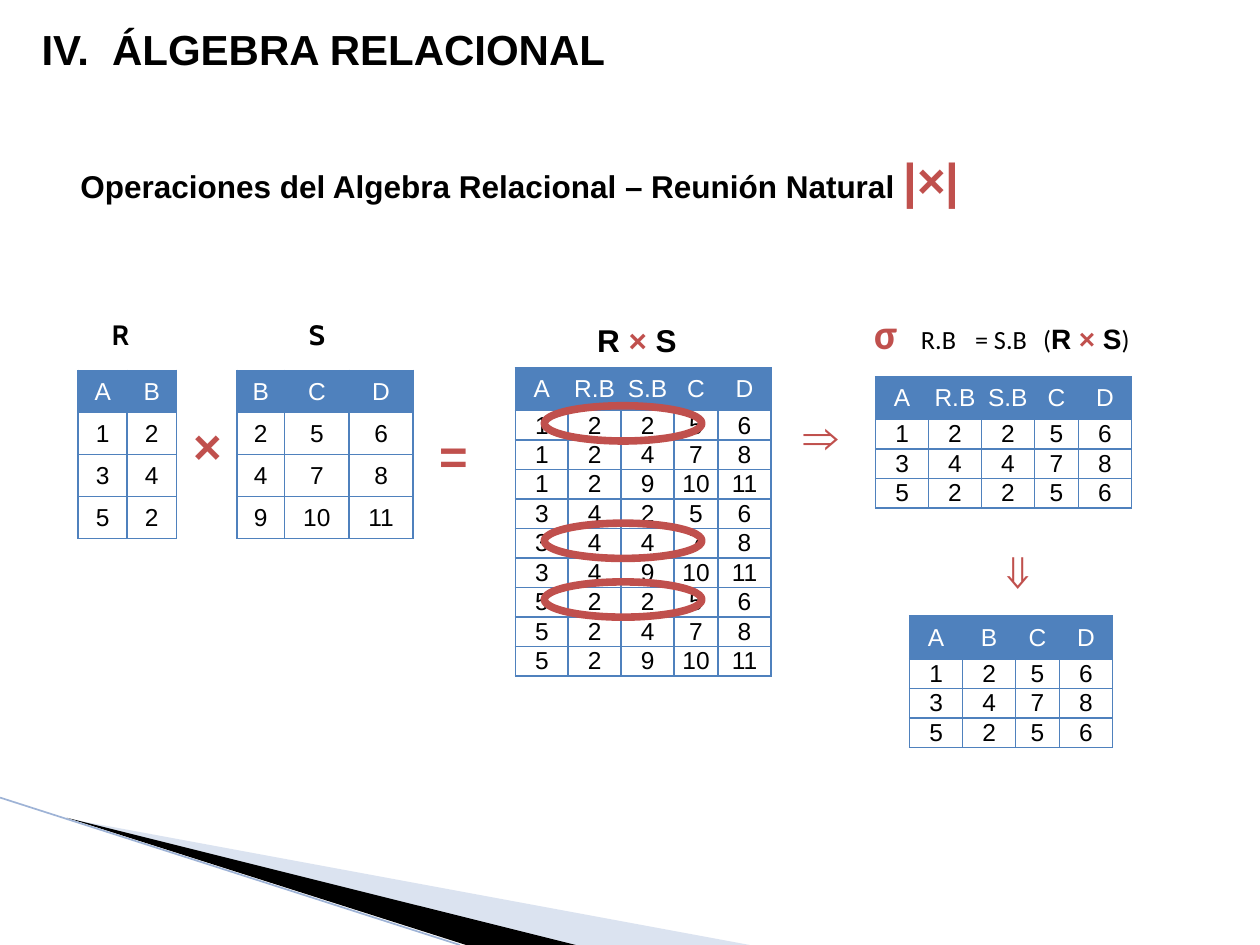
from dataclasses import dataclass
from itertools import product

from lxml.etree import SubElement
from pptx import Presentation
from pptx.dml.color import RGBColor
from pptx.enum.shapes import MSO_CONNECTOR, MSO_SHAPE
from pptx.enum.text import MSO_ANCHOR, MSO_AUTO_SIZE, PP_ALIGN
from pptx.oxml.ns import qn
from pptx.util import Inches, Pt


@dataclass(frozen=True)
class Theme:
    ink: str = "000000"
    white: str = "FFFFFF"
    red: str = "C0504D"
    blue: str = "4F81BD"
    pale: str = "A7B9DB"
    edge: str = "9EB3D6"
    font: str = "Arial"
    label: str = "Cabin"
    math: str = "Calibri"
    sign: int = 28
    head: int = 24
    sub: int = 18
    name: int = 16
    note: int = 15
    cell: int = 14


T = Theme()

# Content: two relations; the other tables follow from them
TITLE = "ÁLGEBRA RELACIONAL"
TOPIC = "Operaciones del Algebra Relacional – Reunión Natural "
R = [(1, 2), (3, 4), (5, 2)]
S = [(2, 5, 6), (4, 7, 8), (9, 10, 11)]
HEAD = ("A", "R.B", "S.B", "C", "D")
CROSS = [r + s for r, s in product(R, S)]
HITS = [n for n, row in enumerate(CROSS) if row[1] == row[2]]
PICK = [CROSS[n] for n in HITS]
JOIN = [row[:2] + row[3:] for row in PICK]

# Grid: column widths and row heights in inches
WIDE, SLIM = 0.42, 0.35
COLS = (WIDE, WIDE, WIDE, SLIM, WIDE)
TOP, ROW, TALL = 0.34, 0.233, 0.333
CROSS_X, CROSS_Y = 4.09, 2.92

# left, top, header, rows, column widths, header height, row height, padding
TABLES = [
    (0.62, 2.94, "AB", R, (0.39, 0.39), TALL, TALL, 0.1),
    (1.88, 2.94, "BCD", S, (0.38, 0.51, 0.51), TALL, TALL, 0.1),
    (CROSS_X, CROSS_Y, HEAD, CROSS, COLS, TOP, ROW, 0),
    (6.95, 2.99, HEAD, PICK, COLS, TOP, ROW, 0),
    (7.22, 4.89, "ABCD", JOIN, (WIDE, WIDE, SLIM, WIDE), TOP, ROW, 0),
]
LABELS = [("R", 0.78), ("S", 2.34)]
SIGNS = [("×", 0.94, 3.25), ("=", 2.89, 3.33), ("⇒", 5.78, 3.17), ("⇓", 7.34, 4.24)]

# Corner decoration: points, colour, opacity in percent
WEDGES = [
    ([(0.55, 6.5), (5.95, 7.5), (4.56, 7.5)], T.pale, 40),
    ([(0.53, 6.49), (4.57, 7.5), (3.7, 7.5)], T.ink, 100),
]


def rgb(code):
    return RGBColor.from_string(code)


def style(font, size, color, face=T.font, bold=True):
    font.size, font.name, font.bold = Pt(size), face, bold
    font.color.rgb = rgb(color)


def indent(para, left, hang):
    props = para._p.get_or_add_pPr()
    props.set("marL", str(Inches(left)))
    props.set("indent", str(-Inches(hang)))
    return props


def box(slide, x, y, w, h, wrap=True):
    frame = slide.shapes.add_textbox(*map(Inches, (x, y, w, h))).text_frame
    frame.word_wrap = wrap
    return frame, frame.paragraphs[0]


def write(para, runs):
    for text, *look in runs:
        run = para.add_run()
        run.text = text
        style(run.font, *look)


def times(size):
    return [("R ", size, T.ink), ("× ", size, T.red), ("S", size, T.ink)]


def border(cell):
    props = cell._tc.get_or_add_tcPr()
    for side in ("a:lnL", "a:lnR", "a:lnT", "a:lnB"):
        line = SubElement(props, qn(side), w=str(Pt(1)))
        SubElement(SubElement(line, qn("a:solidFill")), qn("a:srgbClr"), val=T.blue)


def grid(slide, x, y, head, rows, cols, top, high, pad):
    data = [head, *rows]
    size = (sum(cols), top + high * len(rows))
    table = slide.shapes.add_table(len(data), len(cols), *map(Inches, (x, y, *size))).table
    for col, width in zip(table.columns, cols):
        col.width = Inches(width)
    for n, values in enumerate(data):
        table.rows[n].height = Inches(high if n else top)
        for cell, value in zip(table.rows[n].cells, values):
            border(cell)
            if n:
                cell.fill.background()
            else:
                cell.fill.solid()
                cell.fill.fore_color.rgb = rgb(T.blue)
            cell.margin_left = cell.margin_right = Inches(pad)
            cell.margin_top = cell.margin_bottom = Inches(pad / 2)
            cell.vertical_anchor = MSO_ANCHOR.MIDDLE
            cell.text = str(value)
            para = cell.text_frame.paragraphs[0]
            para.alignment = PP_ALIGN.CENTER
            style(para.font, T.cell, T.ink if n else T.white, bold=False)


def corner(slide):
    for points, color, alpha in WEDGES:
        start, *rest = [(Inches(x), Inches(y)) for x, y in points]
        path = slide.shapes.build_freeform(*start)
        path.add_line_segments(rest)
        wedge = path.convert_to_shape()
        wedge.shadow.inherit = False
        wedge.line.fill.background()
        wedge.fill.solid()
        wedge.fill.fore_color.rgb = rgb(color)
        if alpha < 100:
            tone = wedge._element.spPr.find(".//" + qn("a:srgbClr"))
            SubElement(tone, qn("a:alpha"), val=str(alpha * 1000))
    ends = map(Inches, (0, 6.33, 3.65, 7.5))
    edge = slide.shapes.add_connector(MSO_CONNECTOR.STRAIGHT, *ends)
    edge.line.color.rgb, edge.line.width = rgb(T.edge), Pt(0.95)
    SubElement(edge._element.spPr, qn("a:effectLst"))


def heading(slide):
    title = slide.shapes.title
    title.left, title.top, title.width, title.height = map(Inches, (0.23, 0.14, 9.45, 0.51))
    frame = title.text_frame
    frame.text = TITLE
    frame.auto_size, frame.vertical_anchor = MSO_AUTO_SIZE.NONE, MSO_ANCHOR.TOP
    para = frame.paragraphs[0]
    para.alignment = PP_ALIGN.LEFT
    props = indent(para, 0.56, 0.56)
    SubElement(props, qn("a:buFont"), typeface="+mj-lt")
    SubElement(props, qn("a:buAutoNum"), type="romanUcPeriod", startAt="4")
    style(para.font, T.head, T.ink)
    _, para = box(slide, 0.04, 1.14, 9.92, 0.57)
    para.level = 1
    indent(para, 0.88, 0.38)
    write(para, [(TOPIC, T.sub, T.ink), ("|×|", T.sign, T.red)])


def captions(slide):
    for text, x in LABELS:
        frame, para = box(slide, x, 2.47, 0.35, 0.37, wrap=False)
        frame.vertical_anchor = MSO_ANCHOR.MIDDLE
        para.alignment = PP_ALIGN.CENTER
        write(para, [(text, T.name, T.ink, T.label)])
    _, para = box(slide, 4.64, 2.5, 0.83, 0.4, wrap=False)
    write(para, times(T.sub))
    # Selection formula, spaced by tab stops
    _, para = box(slide, 6.84, 2.39, 2.53, 0.51)
    tabs = SubElement(para._p.get_or_add_pPr(), qn("a:tabLst"))
    for stop in (0.37, 0.8, 1.34):
        SubElement(tabs, qn("a:tab"), pos=str(Inches(stop)), algn="l")
    plain = (T.note, T.ink, T.math, False)
    write(para, [("σ", T.head, T.red, T.math), ("\tR.B\t= S.B\t(", *plain),
                 *times(T.name), (")", *plain)])


def marks(slide):
    for text, x, y in SIGNS:
        _, para = box(slide, x, y, 1.33, 0.57)
        para.level = 1
        indent(para, 0.88, 0.38)
        write(para, [(text, T.sign, T.red)])
    # A ring around each row where R.B equals S.B
    for n in HITS:
        y = CROSS_Y + TOP + n * ROW - 0.04
        spot = map(Inches, (CROSS_X + 0.23, y, 1.25, 0.28))
        ring = slide.shapes.add_shape(MSO_SHAPE.OVAL, *spot)
        ring.shadow.inherit = False
        ring.fill.background()
        ring.line.color.rgb, ring.line.width = rgb(T.red), Pt(4.33)


def main():
    deck = Presentation()
    deck.slide_width, deck.slide_height = Inches(10), Inches(7.5)
    slide = deck.slides.add_slide(deck.slide_layouts[5])
    corner(slide)
    heading(slide)
    for spec in TABLES:
        grid(slide, *spec)
    captions(slide)
    marks(slide)
    deck.save("out.pptx")


if __name__ == "__main__":
    main()
